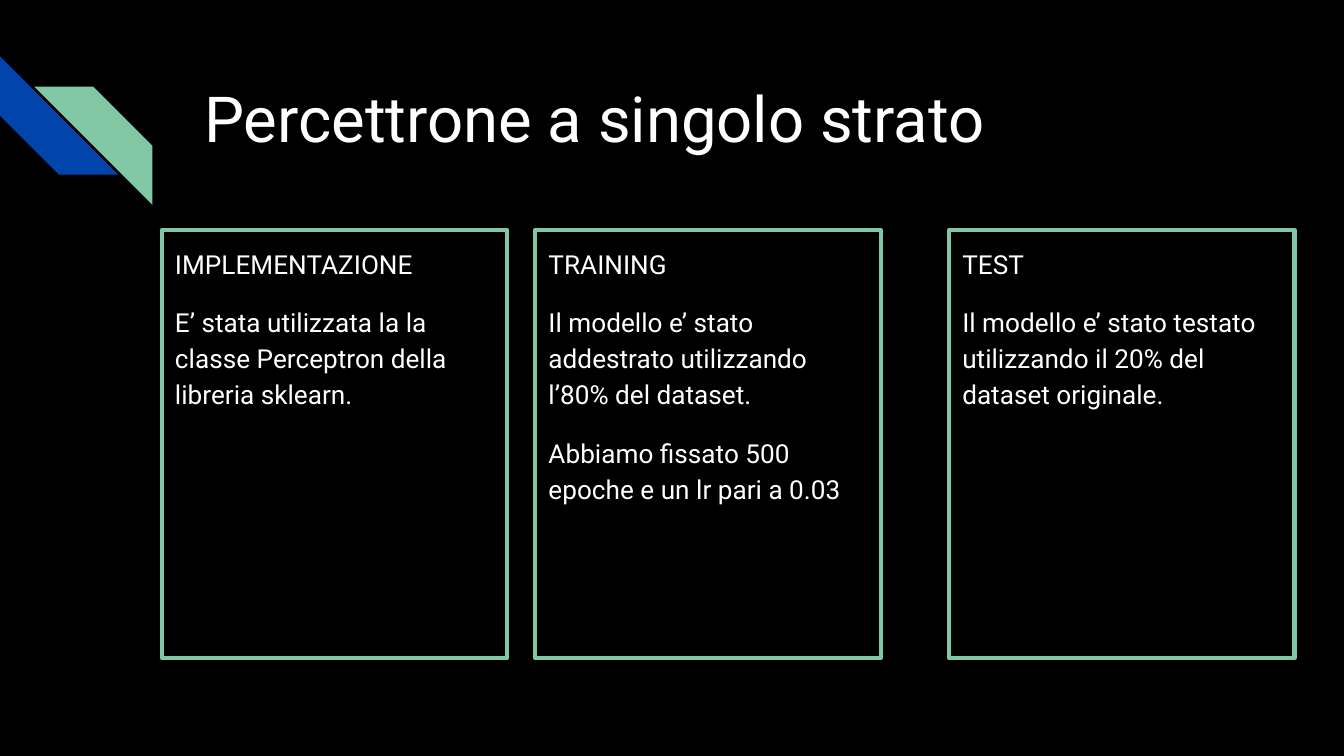
from dataclasses import dataclass

from pptx import Presentation
from pptx.dml.color import RGBColor
from pptx.enum.shapes import MSO_SHAPE
from pptx.enum.text import MSO_ANCHOR, MSO_AUTO_SIZE, PP_ALIGN
from pptx.shapes.autoshape import Shape
from pptx.slide import Slide
from pptx.util import Inches, Pt

BLACK = RGBColor(0x00, 0x00, 0x00)
WHITE = RGBColor(0xFF, 0xFF, 0xFF)
BLUE = RGBColor(0x01, 0x45, 0xAC)
GREEN = RGBColor(0x82, 0xC7, 0xA5)

FONT = "Roboto"
WIDTH = Inches(10)
HEIGHT = WIDTH * 9 // 16
INSET = 0.1
STRIPE_SIZE = Inches(0.88)

# Panel frame, as percentages of the slide's size
PANEL_TOP, PANEL_WIDTH, PANEL_HEIGHT = 30.43, 25.7, 56.6


@dataclass(frozen=True)
class Stripe:
    left: float
    top: float
    rotation: int
    color: RGBColor


@dataclass(frozen=True)
class Panel:
    left: float
    paragraphs: tuple[str, ...]


STRIPES = (
    Stripe(0, 7.45, 270, BLUE),
    Stripe(2.54, 11.45, 90, GREEN),
)

PANELS = (
    Panel(12.04, (
        "IMPLEMENTAZIONE",
        "E’ stata utilizzata la la classe Perceptron della libreria sklearn.",
    )),
    Panel(39.83, (
        "TRAINING",
        "Il modello e’ stato addestrato utilizzando l’80% del dataset.",
        "Abbiamo fissato 500 epoche e un lr pari a 0.03",
    )),
    Panel(70.62, (
        "TEST",
        "Il modello e’ stato testato utilizzando il 20% del dataset originale.",
    )),
)


def across(percent: float) -> int:
    return round(WIDTH * percent / 100)


def down(percent: float) -> int:
    return round(HEIGHT * percent / 100)


def write_text(shape: Shape, *paragraphs: str, size: float,
               anchor: MSO_ANCHOR = MSO_ANCHOR.TOP, bottom_inset: float = INSET,
               line_spacing: float = 1.0, space_before: float = 0) -> None:
    """Fill a shape with left-aligned paragraphs in the slide's font."""
    frame = shape.text_frame
    frame.word_wrap = True
    frame.auto_size = MSO_AUTO_SIZE.NONE
    frame.vertical_anchor = anchor
    frame.margin_left = frame.margin_right = frame.margin_top = Inches(INSET)
    frame.margin_bottom = Inches(bottom_inset)
    for index, text in enumerate(paragraphs):
        paragraph = frame.add_paragraph() if index else frame.paragraphs[0]
        paragraph.alignment = PP_ALIGN.LEFT
        paragraph.line_spacing = line_spacing
        paragraph.space_before = Pt(space_before if index else 0)
        run = paragraph.add_run()
        run.text = text
        run.font.name = FONT
        run.font.size = Pt(size)
        run.font.color.rgb = WHITE


def draw_stripe(slide: Slide, stripe: Stripe) -> None:
    shape = slide.shapes.add_shape(
        MSO_SHAPE.DIAGONAL_STRIPE, across(stripe.left), down(stripe.top),
        STRIPE_SIZE, STRIPE_SIZE)
    shape.rotation = stripe.rotation
    shape.shadow.inherit = False
    shape.fill.solid()
    shape.fill.fore_color.rgb = stripe.color
    shape.line.fill.background()


def draw_panel(slide: Slide, panel: Panel) -> None:
    shape = slide.shapes.add_shape(
        MSO_SHAPE.RECTANGLE, across(panel.left), down(PANEL_TOP),
        across(PANEL_WIDTH), down(PANEL_HEIGHT))
    shape.shadow.inherit = False
    shape.fill.background()
    shape.line.color.rgb = GREEN
    shape.line.width = Pt(2.25)
    write_text(shape, *panel.paragraphs, size=14,
               line_spacing=1.15, space_before=12)


def place_title(slide: Slide, text: str) -> None:
    title = slide.shapes.title
    title.left, title.top = across(14.2), down(7.65)
    title.width, title.height = across(77), down(17.8)
    write_text(title, text, size=34, anchor=MSO_ANCHOR.MIDDLE,
               bottom_inset=0.22)


def main() -> None:
    presentation = Presentation()
    presentation.slide_width, presentation.slide_height = WIDTH, HEIGHT
    title_only = presentation.slide_layouts.get_by_name("Title Only")
    slide = presentation.slides.add_slide(title_only)

    # Background and corner decoration
    slide.background.fill.solid()
    slide.background.fill.fore_color.rgb = BLACK
    for stripe in STRIPES:
        draw_stripe(slide, stripe)

    # Title and the three panels
    place_title(slide, "Percettrone a singolo strato")
    for panel in PANELS:
        draw_panel(slide, panel)

    presentation.save("out.pptx")


if __name__ == "__main__":
    main()
